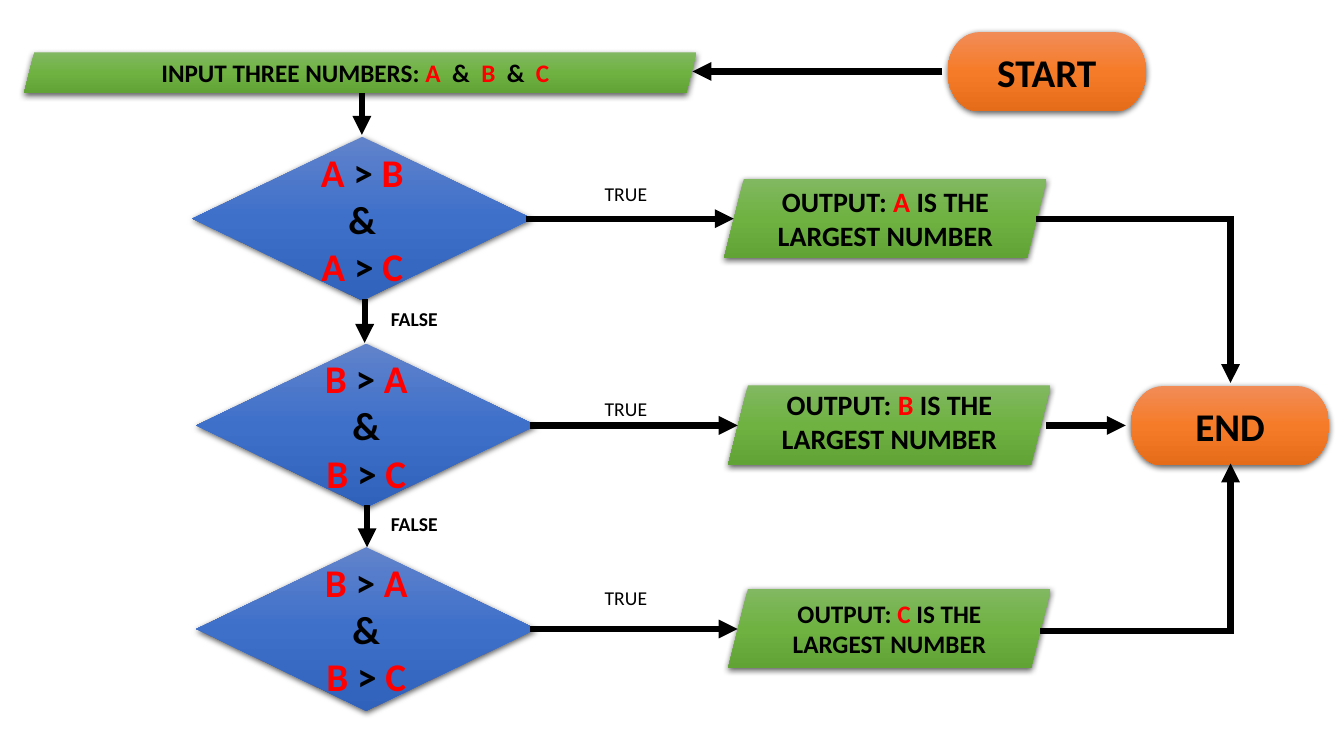
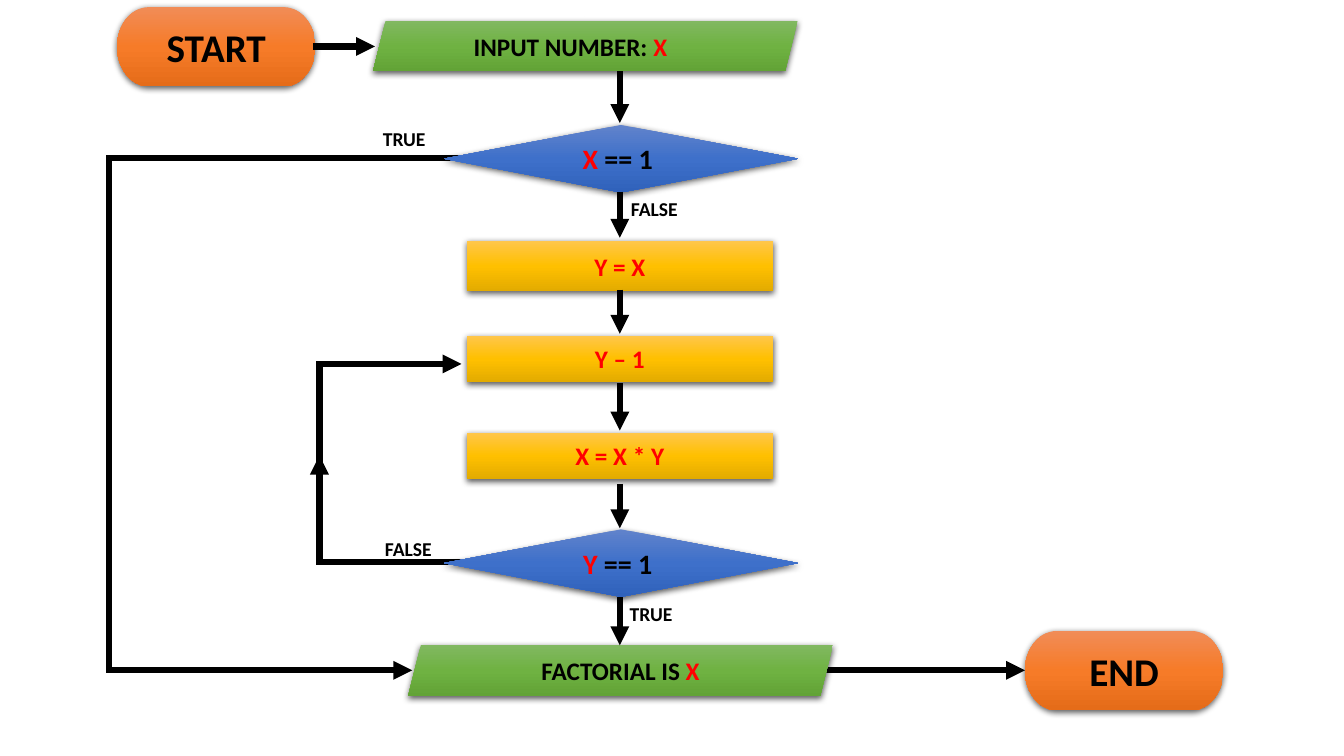
from copy import deepcopy
from itertools import pairwise

from lxml.etree import SubElement
from pptx import Presentation
from pptx.dml.color import RGBColor
from pptx.enum.shapes import MSO_CONNECTOR, MSO_SHAPE
from pptx.enum.text import MSO_ANCHOR, PP_ALIGN
from pptx.oxml.ns import qn
from pptx.util import Cm, Pt

FONT = "Calibri"
BLACK, RED = "000000", "FF0000"
LINE_WIDTH = 4.5
TERMINAL_SIZE = (5, 2)
DECISION_SIZE = (8.56, 4.12)
OUTPUT_SIZE = (8.13, 2)
CHECK_SIZE = (8.94, 1.7)
SLIM_SIZE = (10.7, 1.27)

# Preset shape and gradient colours, from top to bottom
STYLES = {
    "terminal": (MSO_SHAPE.FLOWCHART_TERMINATOR, ("F18C57", "F67B28", "E56C19")),
    "data": (MSO_SHAPE.PARALLELOGRAM, ("81B861", "6FB242", "62A336")),
    "decision": (MSO_SHAPE.DIAMOND, ("6183CB", "3E70CA", "3062BB")),
    "process": (MSO_SHAPE.RECTANGLE, ("FFC64B", "FFC000", "E3AB00")),
}


def color(hex_value):
    return RGBColor.from_string(hex_value)


def format_run(run, size, hex_value, bold=True):
    run.font.name = FONT
    run.font.size = Pt(size)
    run.font.bold = bold
    run.font.color.rgb = color(hex_value)


def fill_gradient(shape, hex_values):
    shape.fill.gradient()
    shape.fill.gradient_angle = 270
    stop_list = next(shape._element.spPr.iter(qn("a:gsLst")))
    stop_list.append(deepcopy(stop_list[-1]))
    for stop, position, hex_value in zip(shape.fill.gradient_stops, (0, 0.5, 1), hex_values):
        stop.position = position
        stop.color.rgb = color(hex_value)


def add_soft_shadow(shape):
    shape.shadow.inherit = False
    effects = shape._element.spPr.find(qn("a:effectLst"))
    shadow = SubElement(effects, qn("a:outerShdw"), blurRad=str(Pt(4.5)),
                        dist=str(Pt(1.5)), dir="5400000", algn="ctr", rotWithShape="0")
    shadow_color = SubElement(shadow, qn("a:srgbClr"), val=BLACK)
    SubElement(shadow_color, qn("a:alpha"), val="63000")


def write_marked(text_frame, text, size):
    """Write centred lines; each part between bars is red."""
    for number, line in enumerate(text.split("\n")):
        paragraph = text_frame.add_paragraph() if number else text_frame.paragraphs[0]
        paragraph.alignment = PP_ALIGN.CENTER
        for index, part in enumerate(line.split("|")):
            if part:
                run = paragraph.add_run()
                run.text = part
                format_run(run, size, RED if index % 2 else BLACK)


def add_node(slide, kind, left, top, box_size, text, size, inset_right=0.25, inset_bottom=0.13):
    preset, hex_values = STYLES[kind]
    shape = slide.shapes.add_shape(preset, Cm(left), Cm(top), *map(Cm, box_size))
    fill_gradient(shape, hex_values)
    shape.line.fill.background()
    add_soft_shadow(shape)
    text_frame = shape.text_frame
    text_frame.word_wrap = True
    text_frame.vertical_anchor = MSO_ANCHOR.MIDDLE
    text_frame.margin_right = Cm(inset_right)
    text_frame.margin_bottom = Cm(inset_bottom)
    write_marked(text_frame, text, size)


def add_terminal(slide, left, top, text):
    add_node(slide, "terminal", left, top, TERMINAL_SIZE, text, 28)


def add_label(slide, left, top, text, bold=True):
    box = slide.shapes.add_textbox(Cm(left), Cm(top), Cm(1.7), Cm(0.86))
    box.text_frame.word_wrap = False
    box.text_frame.text = text
    format_run(box.text_frame.paragraphs[0].runs[0], 14, BLACK, bold)


def add_route(slide, *points):
    """Join the points with straight lines and end in an arrowhead."""
    segments = list(pairwise(points))
    for number, (start, end) in enumerate(segments, 1):
        connector = slide.shapes.add_connector(MSO_CONNECTOR.STRAIGHT, *map(Cm, start + end))
        connector.line.width = Pt(LINE_WIDTH)
        connector.line.color.rgb = color(BLACK)
        properties = connector._element.spPr
        outline = properties.find(qn("a:ln"))
        if number == len(segments):
            SubElement(outline, qn("a:tailEnd"), type="triangle")
        else:
            outline.set("cap", "sq")
        SubElement(properties, qn("a:effectLst"))


def add_test_row(slide, left, top, condition, letter, size, label_offset, inset_bottom=0.13):
    """Place a decision, its TRUE arrow and the output it leads to."""
    middle = top + DECISION_SIZE[1] / 2
    add_node(slide, "decision", left, top, DECISION_SIZE, condition, 28)
    add_node(slide, "data", left + 13.4, top + 1.05, OUTPUT_SIZE,
             f"OUTPUT: |{letter}| IS THE LARGEST NUMBER", size, inset_bottom=inset_bottom)
    add_route(slide, (left + 8.4, middle), (left + 13.64, middle))
    add_label(slide, 14.99, top + label_offset, "TRUE", bold=False)


def build_largest_number(slide):
    add_node(slide, "data", 0.61, 1.32, (16.94, 1.02),
             "INPUT THREE NUMBERS: |A|  &  |B|  &  |C", 18, inset_right=0.5)
    add_terminal(slide, 23.88, 0.81, "START")
    add_terminal(slide, 28.5, 9.73, "END")

    second_test = "|B |> |A\n&\n|B |> |C"
    add_test_row(slide, 4.85, 3.45, "|A |> |B\n&\n|A |> |C", "A", 20, 1)
    add_test_row(slide, 4.95, 8.66, second_test, "B", 20, 1.22, inset_bottom=0.3)
    add_test_row(slide, 4.95, 13.79, second_test, "C", 18, 0.86)

    add_route(slide, (23.75, 1.8), (17.45, 1.8))
    for x, start, end in ((9.12, 2.34, 3.4), (9.19, 7.54, 8.64), (9.25, 12.73, 13.79)):
        add_route(slide, (x, start), (x, end))
    for top in (7.62, 12.78):
        add_label(slide, 9.6, top, "FALSE")

    end_center = 31.01
    add_route(slide, (26.2, 5.51), (end_center, 5.51), (end_center, 9.65))
    add_route(slide, (26.37, 10.72), (28.37, 10.72))
    add_route(slide, (26.3, 15.9), (end_center, 15.9), (end_center, 11.68))


def build_factorial(slide):
    center, bypass, loop, result_line = 15.62, 2.74, 8.05, 16.89
    add_route(slide, (11.48, 3.99), (bypass, 3.99), (bypass, result_line), (10.39, result_line))
    add_route(slide, (11.76, 14.17), (loop, 14.17), (loop, 11.48))
    add_route(slide, (loop, 11.9), (loop, 9.17), (11.63, 9.17))
    add_route(slide, (20.8, result_line), (25.83, result_line))

    add_terminal(slide, 2.95, 0.18, "START")
    add_terminal(slide, 25.83, 15.9, "END")
    add_node(slide, "data", 9.4, 0.53, SLIM_SIZE, "INPUT NUMBER: |X", 18, inset_right=1)
    add_node(slide, "data", 10.29, 16.26, SLIM_SIZE, "FACTORIAL IS |X", 18)
    for top, letter in ((3.15, "X"), (13.34, "Y")):
        add_node(slide, "decision", 11.18, top, CHECK_SIZE, f"|{letter}| == 1 ", 20)
    for top, height, step in ((6.07, 1.27, "Y = X"), (8.46, 1.17, "Y – 1"),
                              (10.9, 1.17, "X = X * Y")):
        add_node(slide, "process", 11.76, top, (7.72, height), f"|{step}", 18)

    add_route(slide, (7.9, 1.17), (9.45, 1.17))
    for start, end in ((1.8, 3.1), (4.83, 5.99), (7.3, 8.41),
                       (9.65, 10.85), (12.19, 13.31), (15.04, 16.26)):
        add_route(slide, (center, start), (center, end))
    for left, top, text in ((9.4, 3.07, "TRUE"), (15.65, 4.83, "FALSE"),
                            (9.45, 13.41, "FALSE"), (15.62, 15.04, "TRUE")):
        add_label(slide, left, top, text)


def main():
    presentation = Presentation()
    presentation.slide_width = Cm(33.87)
    presentation.slide_height = Cm(19.05)
    blank_layout = presentation.slide_layouts[6]
    for build in (build_largest_number, build_factorial):
        build(presentation.slides.add_slide(blank_layout))
    presentation.save("out.pptx")


if __name__ == "__main__":
    main()
